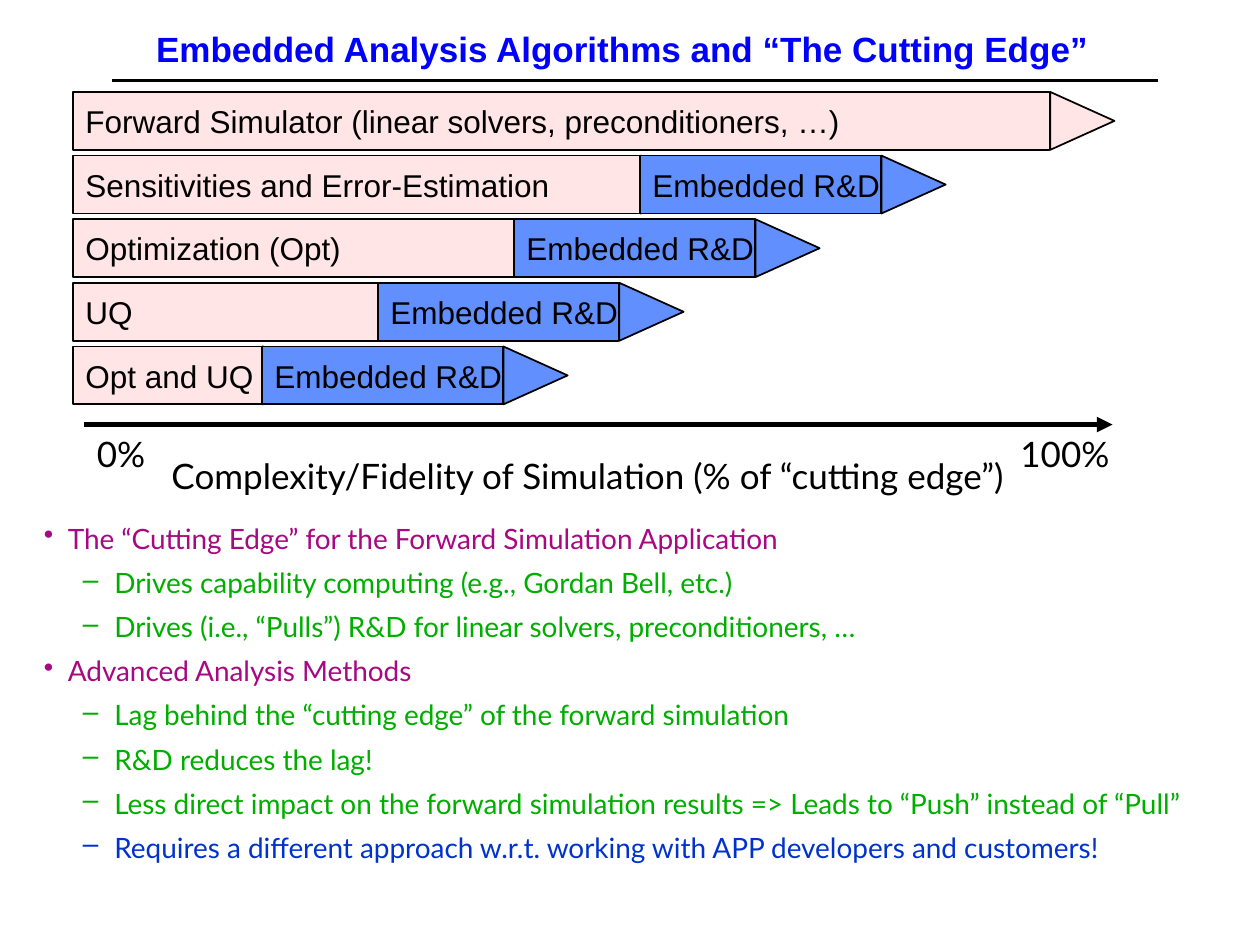
from typing import NamedTuple

from lxml.etree import SubElement
from pptx import Presentation
from pptx.dml.color import RGBColor
from pptx.enum.shapes import MSO_CONNECTOR, MSO_SHAPE
from pptx.enum.text import MSO_ANCHOR, PP_ALIGN
from pptx.oxml.ns import qn
from pptx.util import Inches, Pt

COLORS = {
    "black": "000000",
    "white": "FFFFFF",
    "title": "0000FF",
    "simulation": "FFE5E5",
    "embedded": "618FFD",
    "topic": "A80882",
    "detail": "00AE00",
    "emphasis": "0033CC",
}

BAR_LEFT, FIRST_BAR_TOP, BAR_PITCH, BAR_HEIGHT = 0.58, 0.73, 0.505, 0.46
HEAD_LENGTH = 0.51
HEAD_OVERLAP = 0.005
EMBEDDED_WIDTH = 1.91


class Method(NamedTuple):
    name: str
    width: float
    has_embedded: bool = True


class Level(NamedTuple):
    marker: str
    margin: float
    hanging: float


class Bullet(NamedTuple):
    text: str
    level: int
    color: str


METHODS = [
    Method("Forward Simulator (linear solvers, preconditioners, …)", 7.75, False),
    Method("Sensitivities and Error-Estimation", 4.5),
    Method("Optimization (Opt)", 3.5),
    Method("UQ", 2.42),
    Method("Opt and UQ", 1.5),
]

LEVELS = [Level("•", 0.19, 0.19), Level("–", 0.56, 0.25)]

BULLETS = [
    Bullet("The “Cutting Edge” for the Forward Simulation Application", 0, "topic"),
    Bullet("Drives capability computing (e.g., Gordan Bell, etc.)", 1, "detail"),
    Bullet("Drives (i.e., “Pulls”) R&D for linear solvers, preconditioners, …", 1, "detail"),
    Bullet("Advanced Analysis Methods", 0, "topic"),
    Bullet("Lag behind the “cutting edge” of the forward simulation", 1, "detail"),
    Bullet("R&D reduces the lag!", 1, "detail"),
    Bullet("Less direct impact on the forward simulation results => "
           "Leads to “Push” instead of “Pull”", 1, "detail"),
    Bullet("Requires a different approach w.r.t. working with APP developers "
           "and customers!", 1, "emphasis"),
]


def rgb(name: str) -> RGBColor:
    return RGBColor.from_string(COLORS[name])


def write(paragraph, text: str, size: float, font: str, color: str = "black",
          bold: bool = False, align=PP_ALIGN.LEFT) -> None:
    paragraph.alignment = align
    run = paragraph.add_run()
    run.text = text
    formats = {"size": Pt(size), "name": font, "bold": bold}
    for attribute, value in formats.items():
        setattr(run.font, attribute, value)
    run.font.color.rgb = rgb(color)


def add_text_box(slide, left: float, top: float, width: float, height: float,
                 anchor=MSO_ANCHOR.TOP, fill: str | None = None):
    box = slide.shapes.add_textbox(Inches(left), Inches(top), Inches(width), Inches(height))
    box.text_frame.word_wrap = True
    box.text_frame.vertical_anchor = anchor
    if fill:
        box.fill.solid()
        box.fill.fore_color.rgb = rgb(fill)
    return box.text_frame


def add_line(slide, left: float, right: float, y: float, weight: float,
             arrow: bool = False) -> None:
    line = slide.shapes.add_connector(
        MSO_CONNECTOR.STRAIGHT, Inches(left), Inches(y), Inches(right), Inches(y))
    line.line.color.rgb = rgb("black")
    line.line.width = Pt(weight)
    if arrow:
        SubElement(line.line._get_or_add_ln(), qn("a:tailEnd"), type="triangle")
    SubElement(line._element.spPr, qn("a:effectLst"))


def add_outlined(shapes, kind, left: float, top: float, width: float, height: float,
                 fill: str):
    shape = shapes.add_shape(kind, Inches(left), Inches(top), Inches(width), Inches(height))
    shape.shadow.inherit = False
    shape.fill.solid()
    shape.fill.fore_color.rgb = rgb(fill)
    shape.line.color.rgb = rgb("black")
    shape.line.width = Pt(1)
    return shape


def add_block_arrow(shapes, text: str, left: float, top: float, width: float,
                    fill: str) -> None:
    """Draw a labelled bar with a triangle, turned to point right, at its end."""
    bar = add_outlined(shapes, MSO_SHAPE.RECTANGLE, left, top, width, BAR_HEIGHT, fill)
    bar.text_frame.word_wrap = False
    bar.text_frame.vertical_anchor = MSO_ANCHOR.MIDDLE
    write(bar.text_frame.paragraphs[0], text, 18, "Arial")

    head_left = left + width + (HEAD_LENGTH - BAR_HEIGHT) / 2 + HEAD_OVERLAP
    head_top = top - (HEAD_LENGTH - BAR_HEIGHT) / 2
    head = add_outlined(shapes, MSO_SHAPE.ISOSCELES_TRIANGLE, head_left, head_top,
                        BAR_HEIGHT, HEAD_LENGTH, fill)
    head.rotation = 90


def add_bullet(paragraph, bullet: Bullet) -> None:
    level = LEVELS[bullet.level]
    paragraph.level = bullet.level
    properties = paragraph._p.get_or_add_pPr()
    properties.set("marL", str(Inches(level.margin)))
    properties.set("indent", str(-Inches(level.hanging)))
    marker_color = SubElement(properties, qn("a:buClr"))
    SubElement(marker_color, qn("a:srgbClr"), val=COLORS[bullet.color])
    SubElement(properties, qn("a:buChar"), char=level.marker)
    write(paragraph, bullet.text, 16, "Lato", bullet.color)


def add_methods(slide) -> None:
    for row, method in enumerate(METHODS):
        top = FIRST_BAR_TOP + row * BAR_PITCH
        add_block_arrow(slide.shapes, method.name, BAR_LEFT, top, method.width, "simulation")
        if method.has_embedded:
            group = slide.shapes.add_group_shape()
            add_block_arrow(group.shapes, "Embedded R&D", BAR_LEFT + method.width, top,
                            EMBEDDED_WIDTH, "embedded")


def add_axis(slide) -> None:
    add_line(slide, 0.67, 8.83, 3.37, 3, arrow=True)
    caption = add_text_box(slide, 0.58, 3.56, 8.17, 0.43, fill="white")
    write(caption.paragraphs[0], "Complexity/Fidelity of Simulation (% of “cutting edge”)",
          20, "Lato", align=PP_ALIGN.CENTER)
    for label, left, width in [("0%", 0.67, 0.67), ("100%", 8, 1.05)]:
        frame = add_text_box(slide, left, 3.38, width, 0.43)
        write(frame.paragraphs[0], label, 20, "Lato")


def add_discussion(slide) -> None:
    frame = add_text_box(slide, 0.25, 4.09, 9.56, 3.08, fill="white")
    for index, bullet in enumerate(BULLETS):
        paragraph = frame.add_paragraph() if index else frame.paragraphs[0]
        if index:
            paragraph.space_before = Pt(6)
        add_bullet(paragraph, bullet)


def main() -> None:
    presentation = Presentation()
    presentation.slide_width = Inches(10)
    presentation.slide_height = Inches(7.5)
    slide = presentation.slides.add_slide(presentation.slide_layouts[6])

    add_line(slide, 0.89, 9.19, 0.64, 2)
    title = add_text_box(slide, 0.69, 0.14, 8.5, 0.49, MSO_ANCHOR.MIDDLE)
    write(title.paragraphs[0], "Embedded Analysis Algorithms and “The Cutting Edge”",
          20, "Arial", "title", bold=True, align=PP_ALIGN.CENTER)
    add_methods(slide)
    add_axis(slide)
    add_discussion(slide)
    presentation.save("out.pptx")


if __name__ == "__main__":
    main()
